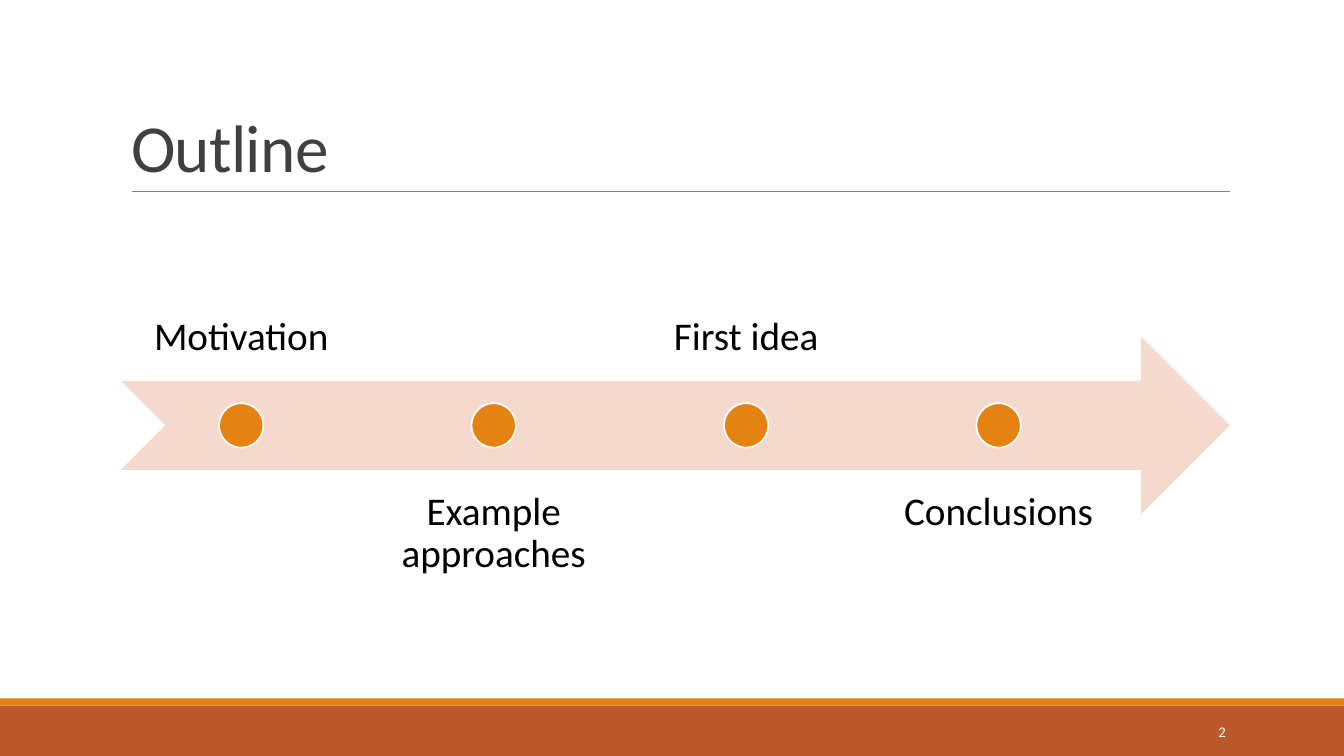
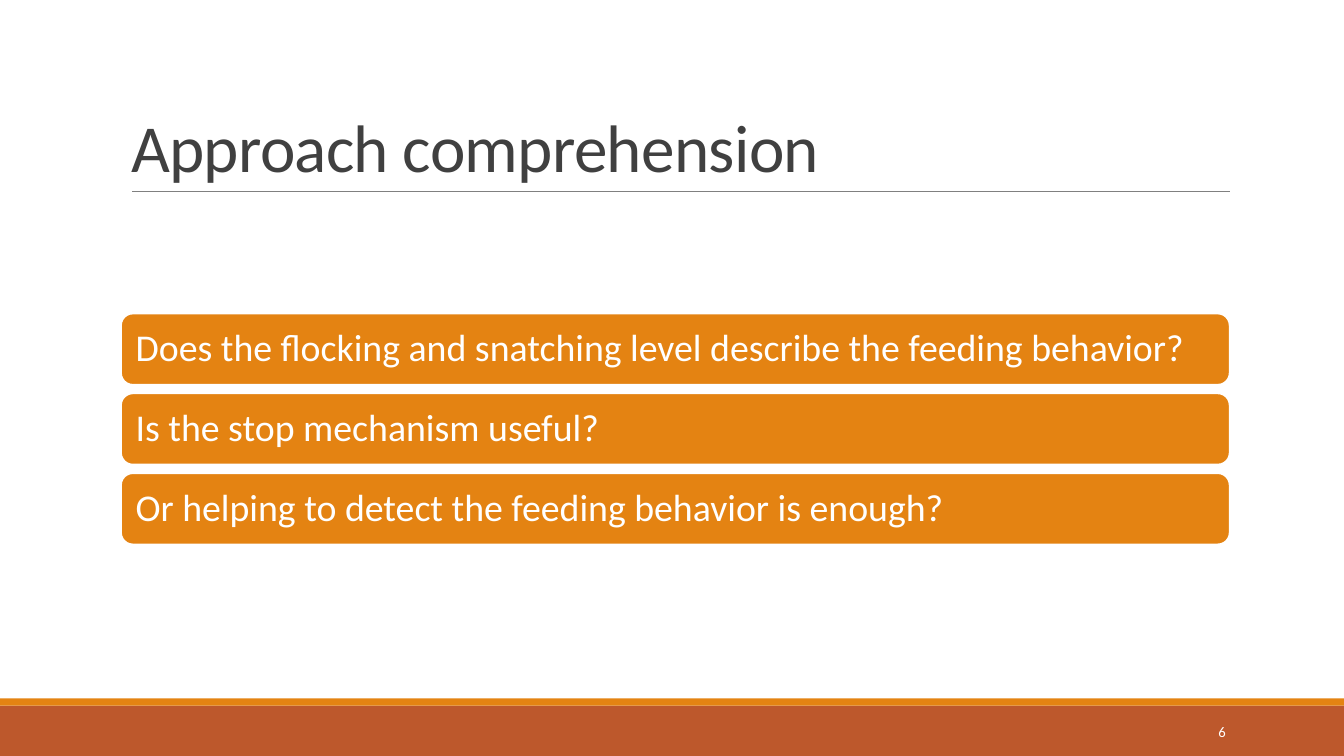
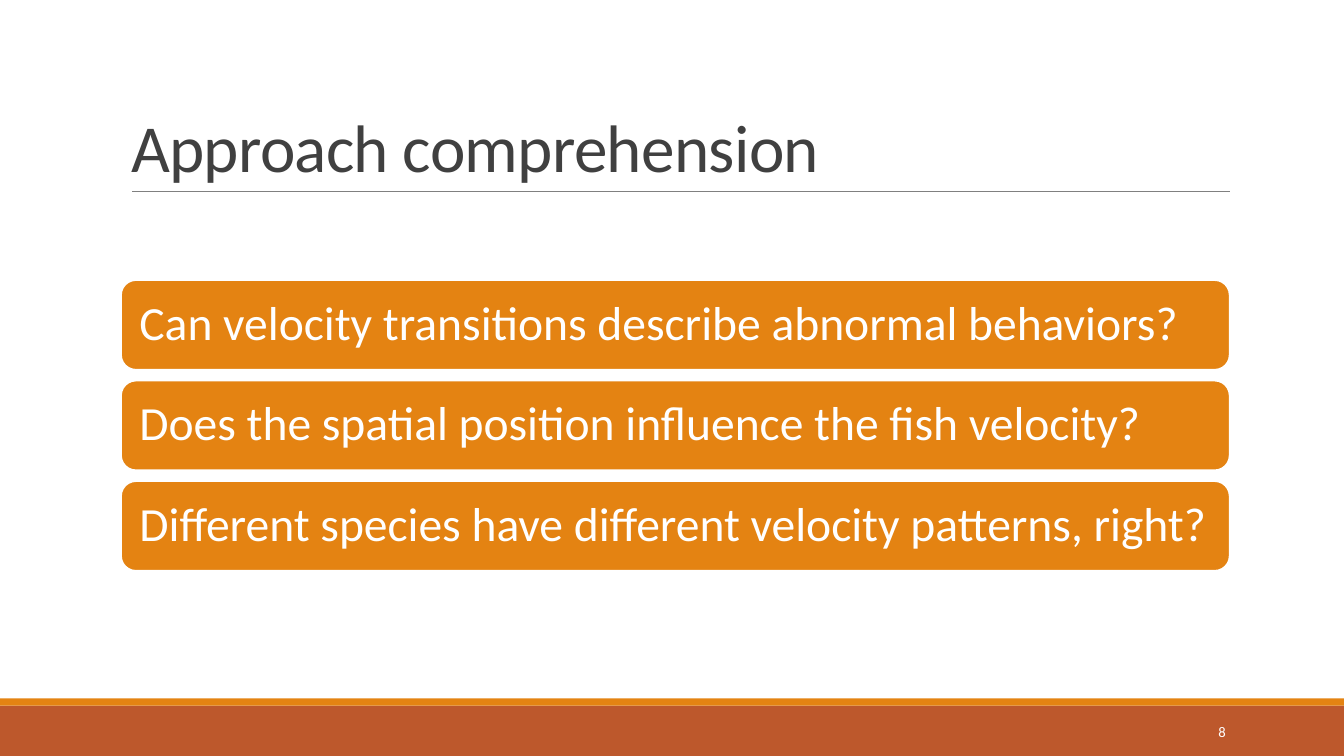
from lxml.etree import SubElement
from pptx import Presentation
from pptx.dml.color import RGBColor
from pptx.enum.shapes import MSO_CONNECTOR, MSO_SHAPE as SHAPE
from pptx.enum.text import MSO_ANCHOR as ANCHOR, MSO_AUTO_SIZE, PP_ALIGN as ALIGN
from pptx.oxml.ns import qn
from pptx.util import Cm, Pt

ORANGE = RGBColor(0xE4, 0x83, 0x12)
RUST = RGBColor(0xBD, 0x58, 0x2C)
PEACH = RGBColor(0xF5, 0xD9, 0xCC)
WHITE = RGBColor(0xFF, 0xFF, 0xFF)
BLACK = RGBColor(0, 0, 0)
GRAY = RGBColor(0x80, 0x80, 0x80)
DARK = RGBColor(0x40, 0x40, 0x40)

FONT = "Calibri"
WIDTH, HEIGHT = 33.87, 19.05
BAND_TOP, STRIPE_TOP = 17.78, 17.6

# Boxes in cm: left, top, width, height
TITLE_BOX = (3.05, 0.79, 27.94, 4.04)
NUMBER_BOX = (27.51, 17.93, 3.63, 1.02)
BODY_BOX = (3.05, 5.13, 27.94, 11.18)
LOWER_BODY_BOX = (3.05, 5.22, 27.94, 11.18)


def cm_box(box):
    return [Cm(v) for v in box]


def add_part(slide, kind, box, fill, line=None):
    """Add a preset shape with a flat fill and an optional outline."""
    sp = slide.shapes.add_shape(kind, *cm_box(box))
    sp.shadow.inherit = False
    sp.fill.solid()
    sp.fill.fore_color.rgb = fill
    if line is None:
        sp.line.fill.background()
    else:
        sp.line.color.rgb = line
        sp.line.width = Pt(1.25)
    return sp


def write(sp, text, size, color, align=ALIGN.LEFT, anchor=ANCHOR.MIDDLE,
          spacing=0.9, inset=None):
    """Set one paragraph of text and its format; return the run."""
    tf = sp.text_frame
    frame = {"word_wrap": True, "auto_size": MSO_AUTO_SIZE.NONE,
             "vertical_anchor": anchor}
    if inset is not None:
        for side in ("left", "top", "right", "bottom"):
            frame["margin_" + side] = Cm(inset)
    p = tf.paragraphs[0]
    r = p.add_run()
    r.text = text
    r.font.color.rgb = color
    formats = (
        (tf, frame),
        (p, {"alignment": align, "line_spacing": spacing}),
        (r.font, {"name": FONT, "size": Pt(size)}),
    )
    for target, values in formats:
        for name, value in values.items():
            setattr(target, name, value)
    return r


def add_textbox(slide, box, text, **fmt):
    return write(slide.shapes.add_textbox(*cm_box(box)), text, **fmt)


def decorate_layout(layout, slide):
    """Draw the footer bands and title rule, then move them to the layout."""
    band = add_part(slide, SHAPE.RECTANGLE,
                    (0, BAND_TOP, WIDTH, HEIGHT - BAND_TOP), RUST)
    stripe = add_part(slide, SHAPE.RECTANGLE,
                      (0, STRIPE_TOP, WIDTH, BAND_TOP - STRIPE_TOP), ORANGE)
    rule = slide.shapes.add_connector(
        MSO_CONNECTOR.STRAIGHT, *cm_box((3.33, 4.83, 31, 4.83)))
    rule.line.color.rgb = GRAY
    rule.line.width = Pt(0.5)
    SubElement(rule.element.spPr, qn("a:effectLst"))
    for part in (band, stripe, rule):
        layout.shapes.element.append(part.element)


def add_slide(prs, layout, title, number):
    """Add a slide with its title and page number."""
    slide = prs.slides.add_slide(layout)
    sp = slide.shapes.title
    sp.left, sp.top, sp.width, sp.height = cm_box(TITLE_BOX)
    r = write(sp, title, 48, DARK, anchor=ANCHOR.BOTTOM, spacing=0.85)
    r.font._element.set("spc", "-50")
    add_textbox(slide, NUMBER_BOX, str(number), size=10.5, color=WHITE,
                align=ALIGN.RIGHT, spacing=1.0)
    return slide


def add_timeline(slide, box, steps):
    """Arrow with a dot per step, labels alternating above and below."""
    left, top, width, height = box
    row = 0.4 * height
    dot = 0.1 * height
    add_part(slide, SHAPE.NOTCHED_RIGHT_ARROW,
             (left, top + 0.3 * height, width, row), PEACH)

    # Columns fill 90 % of the width, with gaps of 5 % of a column
    n = len(steps)
    col = 0.9 * width / (n + 0.05 * (n - 1))
    for i, step in enumerate(steps):
        x = left + i * 1.05 * col
        below = i % 2 == 1
        add_textbox(slide, (x, top + below * (height - row), col, row), step,
                    size=28, color=BLACK, align=ALIGN.CENTER, inset=0.55,
                    anchor=ANCHOR.TOP if below else ANCHOR.BOTTOM)
        add_part(slide, SHAPE.OVAL,
                 (x + (col - dot) / 2, top + (height - dot) / 2, dot, dot),
                 ORANGE, WHITE)


def add_question_bars(slide, box, questions, size):
    """Stack of bars, centred in the box and scaled to the text size."""
    left, top, width, height = box
    bar, gap, inset = 0.0665 * size, 0.008 * size, 0.0104 * size
    n = len(questions)
    first = top + (height - n * bar - (n - 1) * gap) / 2
    for i, question in enumerate(questions):
        sp = add_part(slide, SHAPE.ROUNDED_RECTANGLE,
                      (left, first + i * (bar + gap), width, bar),
                      ORANGE, WHITE)
        write(sp, question, size, WHITE, inset=inset)


def main():
    prs = Presentation()
    prs.slide_width, prs.slide_height = Cm(WIDTH), Cm(HEIGHT)
    layout = prs.slide_layouts.get_by_name("Title Only")

    # Outline
    slide = add_slide(prs, layout, "Outline", 2)
    decorate_layout(layout, slide)
    add_timeline(slide, BODY_BOX, ["Motivation", "Example approaches",
                                   "First idea", "Conclusions"])

    # Question slides
    question_slides = [
        (6, LOWER_BODY_BOX, 27, [
            "Does the flocking and snatching level describe the feeding behavior?",
            "Is the stop mechanism useful?",
            "Or helping to detect the feeding behavior is enough?"]),
        (8, BODY_BOX, 34, [
            "Can velocity transitions describe abnormal behaviors?",
            "Does the spatial position influence the fish velocity?",
            "Different species have different velocity patterns, right?"]),
    ]
    for number, box, size, questions in question_slides:
        slide = add_slide(prs, layout, "Approach comprehension", number)
        add_question_bars(slide, box, questions, size)

    prs.save("out.pptx")


if __name__ == "__main__":
    main()
